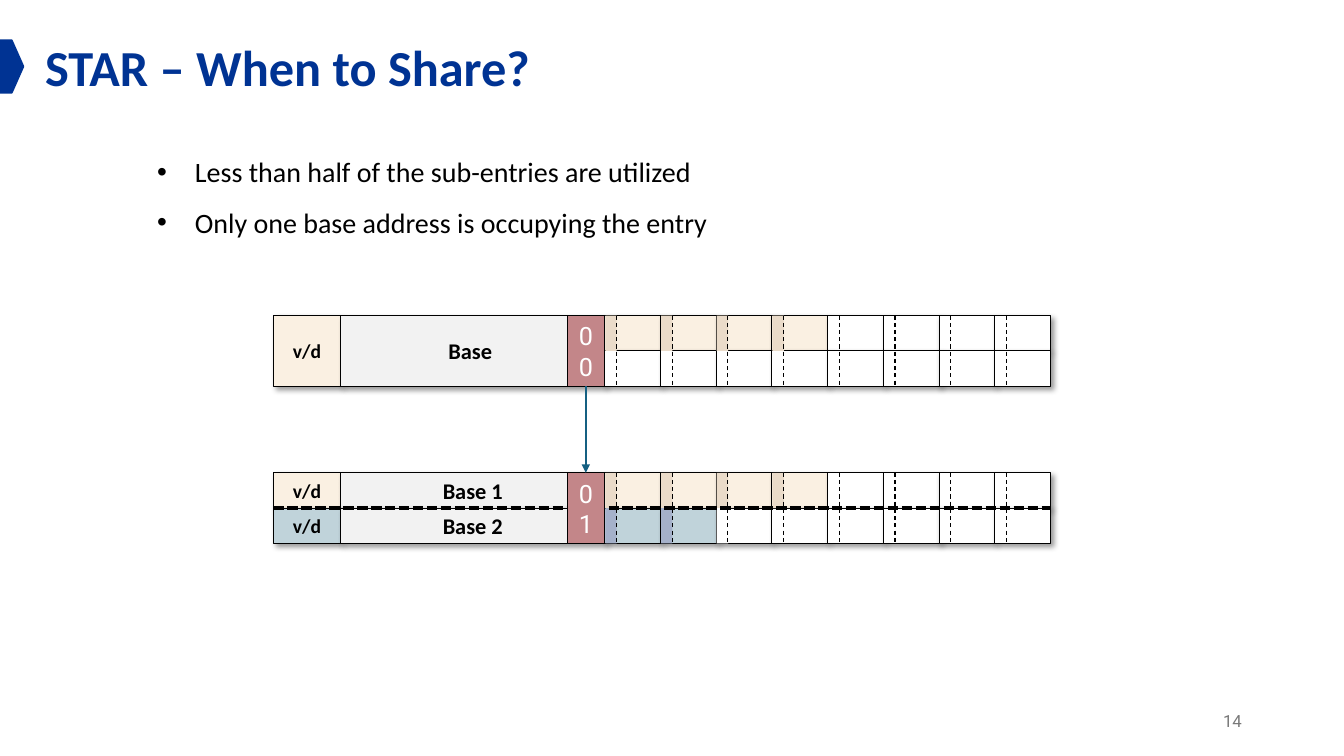
import pptx
import pptx.util
import pptx.dml.color
import pptx.enum.dml
import pptx.enum.shapes
import pptx.enum.text
import pptx.oxml
import pptx.oxml.ns

Pt = pptx.util.Pt
RGBColor = pptx.dml.color.RGBColor
SHAPE = pptx.enum.shapes.MSO_SHAPE
DASH = pptx.enum.dml.MSO_LINE
ALIGN = pptx.enum.text.PP_ALIGN
MIDDLE = pptx.enum.text.MSO_ANCHOR.MIDDLE

NAVY = RGBColor(0x00, 0x33, 0x93)
BLACK = RGBColor(0x00, 0x00, 0x00)
WHITE = RGBColor(0xFF, 0xFF, 0xFF)
GREY = RGBColor(0x79, 0x79, 0x79)
PALE = RGBColor(0xF2, 0xF2, 0xF2)
CREAM = RGBColor(0xFA, 0xF0, 0xE2)
TAN = RGBColor(0xEA, 0xDB, 0xC9)
MIST = RGBColor(0xC0, 0xD3, 0xDA)
LILAC = RGBColor(0xA5, 0xB1, 0xCA)
ROSE = RGBColor(0xC3, 0x86, 0x89)
TEAL = RGBColor(0x15, 0x60, 0x82)

TITLE = "STAR – When to Share?"
BULLETS = [
    "Less than half of the sub-entries are utilized",
    "Only one base address is occupying the entry",
]
PAGE_NUMBER = "14"
ENTRIES = [
    {
        "top": 225.4,
        "tag": "00",
        "bases": [("Base ", CREAM)],
        "cells": [[CREAM] * 4 + [WHITE] * 4, [WHITE] * 8],
        "strips": [[TAN] * 4, []],
    },
    {
        "top": 337.7,
        "tag": "01",
        "bases": [("Base 1", CREAM), ("Base 2", MIST)],
        "cells": [[CREAM] * 4 + [WHITE] * 4, [MIST] * 2 + [WHITE] * 6],
        "strips": [[TAN] * 4, [LILAC, LILAC, WHITE]],
    },
]

FLAG_LEFT, FLAG_WIDTH = 195.2, 48.3
BASE_LEFT, BASE_WIDTH = 243.5, 188.5
TAG_LEFT, TAG_WIDTH = 405.4, 26.2
CELLS_LEFT, CELL_WIDTH, CELL_COUNT = 432, 39.8, 8
STRIP_WIDTH = 8.1
ROW_HEIGHT = 25.25
ENTRY_HEIGHT = 2 * ROW_HEIGHT

NAMESPACE = pptx.oxml.ns.nsdecls("a")
SHADOW = (
    f'<a:effectLst {NAMESPACE}><a:outerShdw blurRad="50800" dist="38100" '
    'dir="2700000" algn="tl" rotWithShape="0"><a:srgbClr val="000000">'
    '<a:alpha val="40000"/></a:srgbClr></a:outerShdw></a:effectLst>'
)
NO_EFFECT = f"<a:effectLst {NAMESPACE}/>"
ARROWHEAD = f'<a:tailEnd {NAMESPACE} type="triangle"/>'
BULLET_FONT = f'<a:buFont {NAMESPACE} typeface="Arial"/>'
BULLET_MARK = f'<a:buChar {NAMESPACE} char="•"/>'


def append_xml(parent, markup):
    parent.append(pptx.oxml.parse_xml(markup))


def style_text(para, size, color, font="Calibri", bold=False, align=None):
    para.alignment = align
    for span in para.runs:
        span.font.size = Pt(size)
        span.font.name = font
        span.font.bold = bold
        span.font.color.rgb = color


def add_text(page, left, top, width, height, lines):
    box = page.shapes.add_textbox(Pt(left), Pt(top), Pt(width), Pt(height))
    box.text_frame.word_wrap = True
    box.text_frame.text = "\n".join(lines)
    return box.text_frame


def add_box(shapes, left, top, width, height, fill, line=BLACK, weight=0.75,
            kind=SHAPE.RECTANGLE, shadow=False):
    box = shapes.add_shape(kind, Pt(left), Pt(top), Pt(width), Pt(height))
    box.shadow.inherit = False
    box.fill.solid()
    box.fill.fore_color.rgb = fill
    if line is None:
        box.line.fill.background()
    else:
        box.line.color.rgb = line
        box.line.width = Pt(weight)
    if shadow:
        properties = box._element.spPr
        properties.remove(properties.find(pptx.oxml.ns.qn("a:effectLst")))
        append_xml(properties, SHADOW)
    return box


def label(box, text, size, color=BLACK, font="Calibri", bold=True, inset=None):
    frame = box.text_frame
    frame.word_wrap = True
    frame.vertical_anchor = MIDDLE
    if inset is not None:
        frame.margin_left = frame.margin_right = Pt(inset)
        frame.margin_top = frame.margin_bottom = Pt(inset)
    frame.text = text
    style_text(frame.paragraphs[0], size, color, font, bold, ALIGN.CENTER)


def add_line(shapes, start, end, color, weight, dash=None):
    line = shapes.add_connector(pptx.enum.shapes.MSO_CONNECTOR.STRAIGHT,
                                *map(Pt, start + end))
    line.line.color.rgb = color
    line.line.width = Pt(weight)
    if dash is not None:
        line.line.dash_style = dash
    append_xml(line._element.spPr, NO_EFFECT)
    return line


def add_entry(page, entry):
    shapes = page.shapes.add_group_shape().shapes
    top = entry["top"]
    bottom = top + ENTRY_HEIGHT
    base_height = ENTRY_HEIGHT / len(entry["bases"])
    lefts = [CELLS_LEFT + column * CELL_WIDTH for column in range(CELL_COUNT)]

    for row, (name, color) in enumerate(entry["bases"]):
        base_top = top + row * base_height
        flag = add_box(shapes, FLAG_LEFT, base_top, FLAG_WIDTH, base_height,
                       color, shadow=True)
        label(flag, "v/d", 14, inset=0)
        base = add_box(shapes, BASE_LEFT, base_top, BASE_WIDTH, base_height,
                       PALE, shadow=True)
        label(base, name, 16)
    for row, colors in enumerate(entry["cells"]):
        for left, color in zip(lefts, colors):
            add_box(shapes, left, top + row * ROW_HEIGHT, CELL_WIDTH,
                    ROW_HEIGHT, color, shadow=True)
    for row, colors in enumerate(entry["strips"]):
        for left, color in zip(lefts, colors):
            add_box(shapes, left + 0.4, top + row * ROW_HEIGHT, STRIP_WIDTH,
                    ROW_HEIGHT, color, line=None)
    if len(entry["bases"]) > 1:
        middle = top + ROW_HEIGHT
        add_line(shapes, (FLAG_LEFT, middle),
                 (CELLS_LEFT + CELL_COUNT * CELL_WIDTH, middle),
                 BLACK, 2.5, DASH.SQUARE_DOT)
    for left in lefts:
        divider = left + STRIP_WIDTH + 0.2
        add_line(shapes, (divider, top), (divider, bottom), BLACK, 0.75, DASH.DASH)
    tag = add_box(shapes, TAG_LEFT, top, TAG_WIDTH, ENTRY_HEIGHT, ROSE)
    label(tag, entry["tag"], 18, WHITE, "Roboto", False)
    return tag


def main():
    deck = pptx.Presentation()
    deck.slide_width, deck.slide_height = Pt(960), Pt(540)
    page = deck.slides.add_slide(deck.slide_layouts[6])

    title = add_text(page, 25.2, 22.3, 904.3, 51.1, [TITLE])
    style_text(title.paragraphs[0], 36, NAVY, bold=True)
    add_box(page.shapes, 0, 28.8, 16.6, 37.4, NAVY, NAVY, 1.5, SHAPE.PENTAGON)

    number = add_text(page, 678.2, 500.4, 216, 28.8, [PAGE_NUMBER])
    number.vertical_anchor = MIDDLE
    style_text(number.paragraphs[0], 12, GREY, "Roboto", align=ALIGN.RIGHT)

    for para in add_text(page, 105.1, 95, 607.7, 76.3, BULLETS).paragraphs:
        para.line_spacing = 1.5
        style_text(para, 20, BLACK)
        properties = para._p.get_or_add_pPr()
        properties.set("marL", str(Pt(27)))
        properties.set("indent", str(Pt(-27)))
        append_xml(properties, BULLET_FONT)
        append_xml(properties, BULLET_MARK)

    before, after = [add_entry(page, entry) for entry in ENTRIES]
    center = TAG_LEFT + TAG_WIDTH / 2
    arrow = add_line(page.shapes, (center, ENTRIES[0]["top"] + ENTRY_HEIGHT),
                     (center, ENTRIES[1]["top"]), TEAL, 1.5)
    arrow.begin_connect(before, 2)
    arrow.end_connect(after, 0)
    append_xml(arrow.line._get_or_add_ln(), ARROWHEAD)

    deck.save("out.pptx")


if __name__ == "__main__":
    main()
